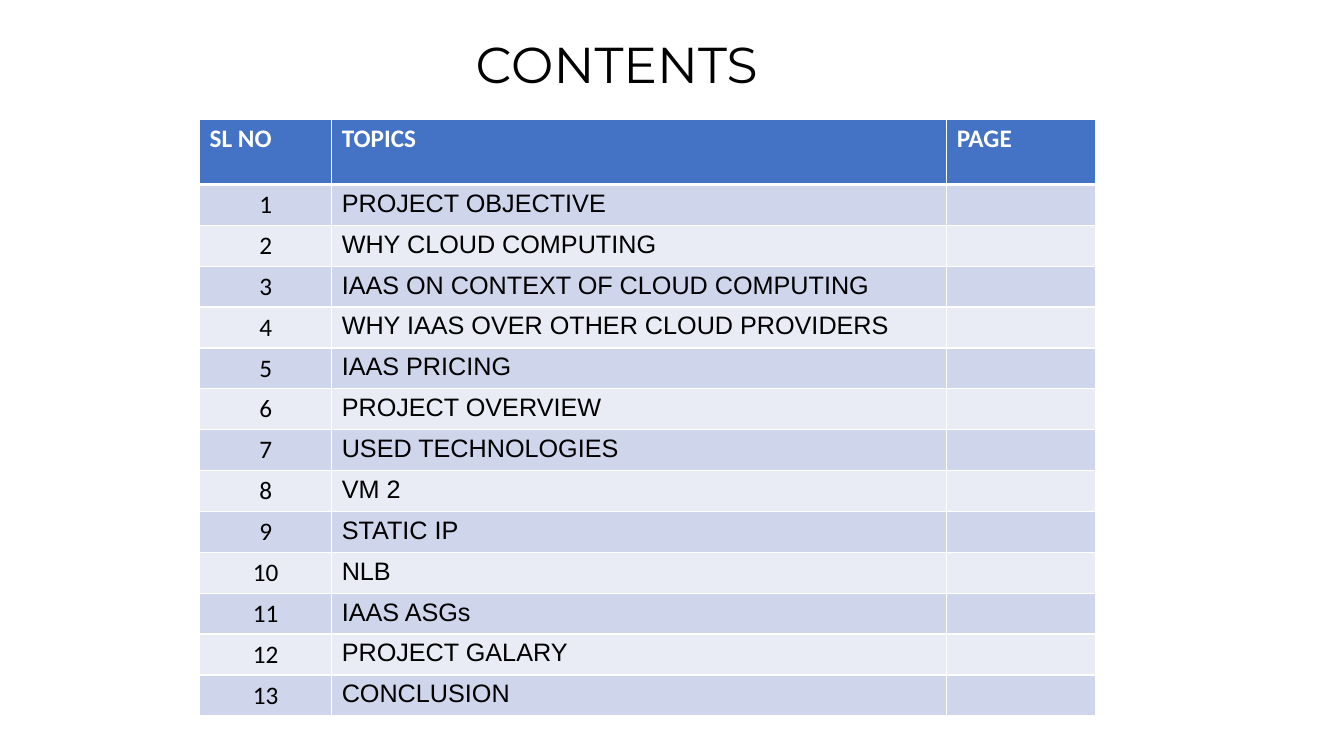
import pptx
import pptx.util
import pptx.dml.color
import pptx.enum.text
import pptx.oxml

theme = {
    "head": "4472C4", "odd": "CFD5EA", "even": "E9EBF5",
    "white": "FFFFFF", "black": "000000",
    "title": 36, "body": 18,
}
inch = pptx.util.Inches
color = pptx.dml.color.RGBColor.from_string
align = pptx.enum.text.PP_ALIGN


def write(frame, text, font="Calibri", size=theme["body"], ink=theme["black"],
          bold=False, side=align.LEFT):
    para = frame.paragraphs[0]
    para.alignment = side
    run = para.add_run()
    run.text = text
    run.font.name = font
    run.font.size = pptx.util.Pt(size)
    run.font.bold = bold
    run.font.color.rgb = color(ink)


def style(cell, fill, top, base):
    cell.fill.solid()
    cell.fill.fore_color.rgb = color(fill)
    props = cell._tc.get_or_add_tcPr()
    for spot, (edge, wide) in enumerate(zip("LRTB", (1, 1, top, base))):
        props.insert(spot, pptx.oxml.parse_xml(
            f'<a:ln{edge} xmlns:a="http://schemas.openxmlformats.org/drawingml/2006/main" '
            f'w="{pptx.util.Pt(wide)}"><a:solidFill><a:srgbClr val="{theme["white"]}"/>'
            f'</a:solidFill></a:ln{edge}>'))


deck = pptx.Presentation()
deck.slide_width, deck.slide_height = inch(13.33), inch(7.5)
slide = deck.slides.add_slide(deck.slide_layouts[6])

# Contents table
heads = ["SL NO", "TOPICS", "PAGE"]
topics = [
    "PROJECT OBJECTIVE", "WHY CLOUD COMPUTING",
    "IAAS ON CONTEXT OF CLOUD COMPUTING",
    "WHY IAAS OVER OTHER CLOUD PROVIDERS", "IAAS PRICING",
    "PROJECT OVERVIEW", "USED TECHNOLOGIES", "VM 2", "STATIC IP", "NLB",
    "IAAS ASGs", "PROJECT GALARY", "CONCLUSION",
]
wides = [1.31, 6.1, 1.48]
tall, total = 0.65, 5.91
step = (total - tall) / len(topics)
table = slide.shapes.add_table(
    len(topics) + 1, len(heads), inch(1.98), inch(1.18),
    inch(sum(wides)), inch(total)).table
for col, wide in zip(table.columns, wides):
    col.width = inch(wide)
for num, row in enumerate(table.rows):
    row.height = inch(step if num else tall)

# Header row
for col, head in enumerate(heads):
    cell = table.cell(0, col)
    style(cell, theme["head"], 1, 3)
    write(cell.text_frame, head, ink=theme["white"], bold=True)

# Topic rows
for num, topic in enumerate(topics, 1):
    for col in range(len(heads)):
        style(table.cell(num, col), theme["odd" if num % 2 else "even"],
              3 if num == 1 else 1, 1)
    write(table.cell(num, 0).text_frame, str(num), side=align.CENTER)
    write(table.cell(num, 1).text_frame, topic, font="Arial")

# Title
box = slide.shapes.add_textbox(inch(4.62), inch(0.28), inch(3.39), inch(0.71))
box.text_frame.word_wrap = True
write(box.text_frame, "CONTENTS", font="Montserrat", size=theme["title"])

deck.save("out.pptx")
